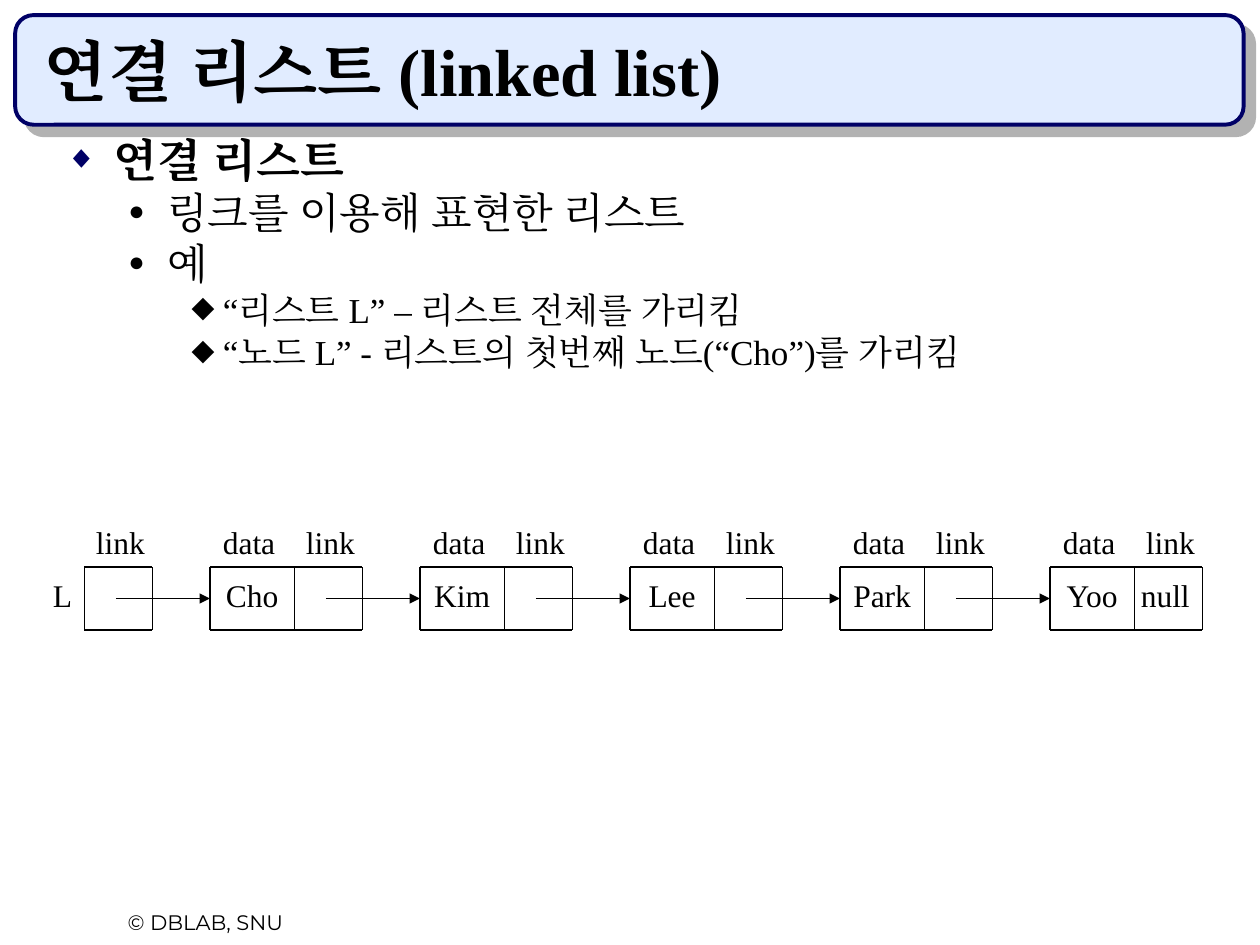
from dataclasses import dataclass
from typing import Optional

from lxml.etree import SubElement as Sub
from pptx import Presentation
from pptx.dml.color import RGBColor as Rgb
from pptx.enum.shapes import MSO_CONNECTOR as Conn, MSO_SHAPE as Geom
from pptx.enum.text import MSO_ANCHOR as Anchor, PP_ALIGN as Align
from pptx.oxml.ns import qn
from pptx.util import Inches, Pt

HUES = {"ink": "000000", "navy": "000066", "pale": "E1ECFF", "shade": "B2B2B2"}
SERIF = "Times New Roman"

# Grid of the linked list
PITCH = 5 / 3
TOP, HIGH = 4.5, 0.5
DATA, LINK = 0.67, 0.54
CAP, TAIL = 0.47, 0.25


@dataclass
class Item:
    text: str
    size: float
    dent: float
    hang: float
    gap: float
    mark: str
    hue: str = "ink"
    scale: int = 100
    bold: bool = False


@dataclass
class Node:
    data: Optional[str]
    link: str = ""


ITEMS = [
    Item("연결 리스트", 26, 0.38, 0.38, 0, "◆", "navy", 70, True),
    Item("링크를 이용해 표현한 리스트", 24, 0.81, 0.31, 6, "●", scale=65),
    Item("예", 24, 0.81, 0.31, 6, "●", scale=65),
    Item("“리스트 L” – 리스트 전체를 가리킴", 20, 1.25, 0.25, 5, "⬥"),
    Item("“노드 L” - 리스트의 첫번째 노드(“Cho”)를 가리킴", 20, 1.25, 0.25, 5, "⬥"),
]
NODES = [Node(None), Node("Cho"), Node("Kim"), Node("Lee"), Node("Park"),
         Node("Yoo", "null")]


def tint(name: str) -> Rgb:
    return Rgb.from_string(HUES[name])


def apply(obj, form: dict) -> None:
    for key, val in form.items():
        setattr(obj, key, val)


def write(para, text: str, size: float, face: str = SERIF, bold: bool = False) -> None:
    run = para.add_run()
    run.text = text
    apply(run.font, {"name": face, "size": Pt(size), "bold": bold})
    run.font.color.rgb = tint("ink")
    Sub(run._r.get_or_add_rPr(), qn("a:ea"), typeface=face)


def box(slide, x: float, y: float, w: float, h: float, anchor=Anchor.TOP,
        side: float = 0.1):
    shape = slide.shapes.add_textbox(Inches(x), Inches(y), Inches(w), Inches(h))
    apply(shape.text_frame,
          {"word_wrap": True, "vertical_anchor": anchor,
           "margin_left": Inches(side), "margin_right": Inches(side),
           "margin_top": Inches(0.05), "margin_bottom": Inches(0.05)})
    return shape


def label(shape, text: str, align=Align.CENTER) -> None:
    para = shape.text_frame.paragraphs[0]
    apply(para, {"alignment": align, "line_spacing": 0.8})
    write(para, text, 18)


def card(slide) -> None:
    shape = slide.shapes.add_shape(
        Geom.ROUNDED_RECTANGLE, Inches(0.12), Inches(0.12), Inches(9.75), Inches(0.87))
    shape.adjustments[0] = 0.167
    shape.fill.solid()
    shape.fill.fore_color.rgb = tint("pale")
    shape.line.color.rgb = tint("navy")
    shape.line.width = Pt(2.25)
    shape.shadow.inherit = False
    glow = shape._element.spPr.find(qn("a:effectLst"))
    cast = Sub(glow, qn("a:outerShdw"), dist=str(Pt(8.5)), dir="2700000",
               algn="ctr", rotWithShape="0")
    Sub(cast, qn("a:srgbClr"), val=HUES["shade"])


def bullet(para, item: Item) -> None:
    props = para._p.get_or_add_pPr()
    props.set("marL", str(Inches(item.dent)))
    props.set("indent", str(-Inches(item.hang)))
    Sub(Sub(props, qn("a:buClr")), qn("a:srgbClr"), val=HUES[item.hue])
    Sub(props, qn("a:buSzPct"), val=str(item.scale * 1000))
    Sub(props, qn("a:buFont"), typeface=SERIF)
    Sub(props, qn("a:buChar"), char=item.mark)


def outline(slide, items: list[Item]) -> None:
    frame = box(slide, 0.42, 1.08, 9.25, 5.83).text_frame
    for pos, item in enumerate(items):
        para = frame.add_paragraph() if pos else frame.paragraphs[0]
        bullet(para, item)
        apply(para, {"line_spacing": 0.8, "space_before": Pt(item.gap)})
        write(para, item.text, item.size, bold=item.bold)


def rule(slide, x: float, y: float, x2: float, y2: float, thick: float = 1):
    line = slide.shapes.add_connector(
        Conn.STRAIGHT, Inches(x), Inches(y), Inches(x2), Inches(y2))
    line.line.color.rgb = tint("ink")
    line.line.width = Pt(thick)
    Sub(line._element.spPr, qn("a:effectLst"))
    return line


def frame(slide, walls: list[float]) -> None:
    for y in (TOP, TOP + HIGH):
        rule(slide, walls[0], y, walls[-1], y)
    for x in walls:
        rule(slide, x, TOP, x, TOP + HIGH)


def arrow(slide, x: float, goal) -> None:
    mid = TOP + HIGH / 2
    line = rule(slide, x, mid, x + 0.75, mid, 0.75)
    line.end_connect(goal, 1)
    Sub(line.line._get_or_add_ln(), qn("a:tailEnd"), type="triangle")


def chain(slide, nodes: list[Node]) -> None:
    start = 0.0
    for pos, node in enumerate(nodes):
        x = PITCH * pos
        split = x + DATA
        walls = [split, split + LINK]
        if node.data:
            walls.insert(0, x)
            label(box(slide, x, TOP - CAP, 0.62, CAP, Anchor.BOTTOM, 0.05), "data")
            goal = box(slide, x, TOP, DATA, HIGH, Anchor.MIDDLE, 0.05)
            label(goal, node.data)
            arrow(slide, start, goal)
        label(box(slide, split - 0.01, TOP - CAP, 0.59, CAP, Anchor.BOTTOM, 0.05), "link")
        if node.link:
            label(box(slide, split - 0.05, TOP, 0.59, HIGH, Anchor.MIDDLE, 0.05), node.link)
        frame(slide, walls)
        start = split + TAIL


def main() -> None:
    deck = Presentation()
    apply(deck, {"slide_width": Inches(10), "slide_height": Inches(7.5)})
    slide = deck.slides.add_slide(deck.slide_layouts[6])

    # Title card and footer
    card(slide)
    foot = box(slide, 0.42, 7.17, 2.42, 0.3).text_frame.paragraphs[0]
    foot.alignment = Align.CENTER
    write(foot, "© DBLAB, SNU", 12, "Montserrat")
    head = box(slide, 0.25, 0.25, 9.42, 0.67, Anchor.BOTTOM).text_frame
    write(head.paragraphs[0], "연결 리스트 (linked list)", 38, bold=True)

    # Outline
    outline(slide, ITEMS)

    # Head pointer name and list nodes
    label(box(slide, 0, TOP, DATA, HIGH, Anchor.MIDDLE), "L", Align.RIGHT)
    chain(slide, NODES)
    deck.save("out.pptx")


if __name__ == "__main__":
    main()
